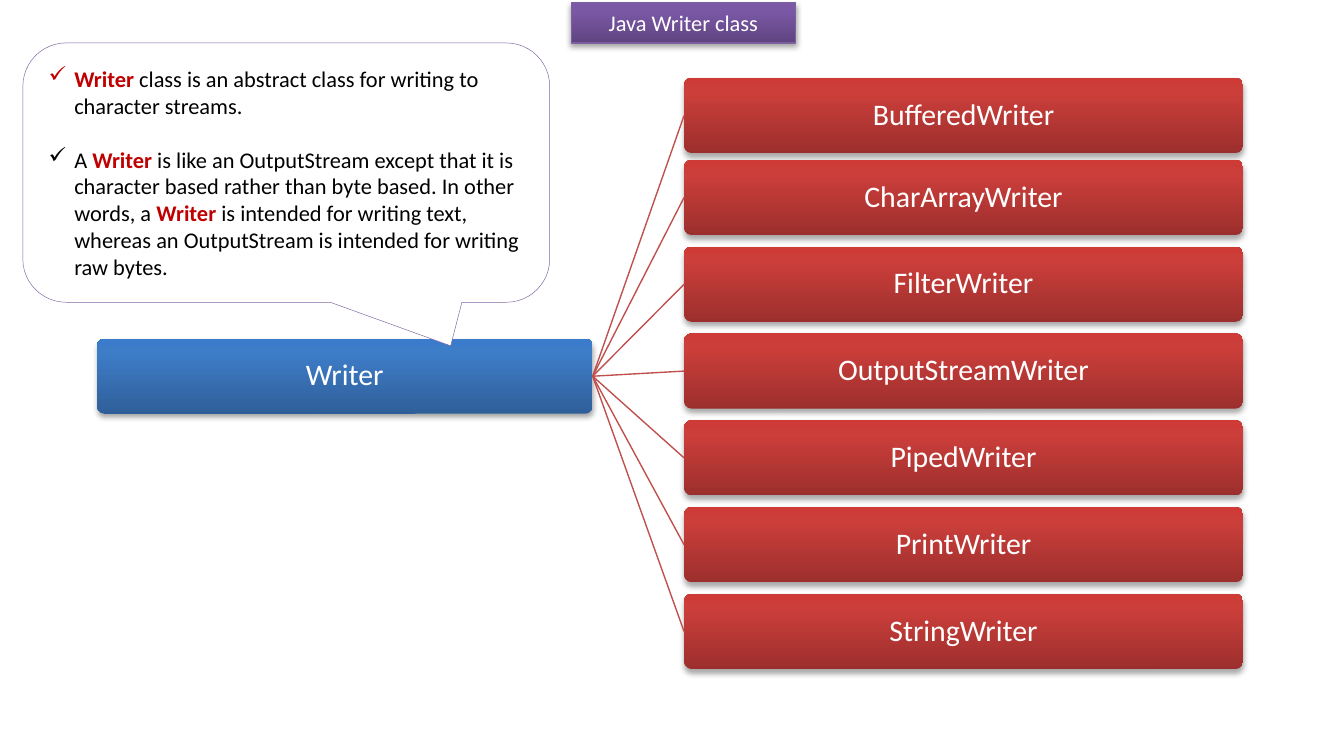
from copy import deepcopy

from lxml import etree
from pptx import Presentation
from pptx.dml.color import RGBColor
from pptx.enum.shapes import MSO_CONNECTOR, MSO_SHAPE
from pptx.enum.text import MSO_ANCHOR, PP_ALIGN
from pptx.oxml.ns import qn
from pptx.util import Inches, Pt

ROUNDED = MSO_SHAPE.ROUNDED_RECTANGLE
CALLOUT = MSO_SHAPE.ROUNDED_RECTANGULAR_CALLOUT
STRAIGHT = MSO_CONNECTOR.STRAIGHT
MIDDLE = MSO_ANCHOR.MIDDLE
CENTER, LEFT = PP_ALIGN.CENTER, PP_ALIGN.LEFT
LEFT_SITE, RIGHT_SITE = 1, 3

COLORS = {
    "white": "FFFFFF",
    "text": "000000",
    "keyword": "C00000",
    "link": "C0504D",
    "purple": "7D60A0",
    "callout_line": "8064A2",
}
# Bottom, near-top and top colour of each gradient
GRADIENTS = {
    "purple": ("5F4480", "7B58A6", "7C57A8"),
    "blue": ("2F5F99", "3D7CC7", "3A7CCB"),
    "red": ("9C2F2D", "CB3E3A", "CE3B37"),
}
GRADIENT_POSITIONS = (0, 0.8, 1)

SUBCLASSES = [
    "BufferedWriter", "CharArrayWriter", "FilterWriter", "OutputStreamWriter",
    "PipedWriter", "PrintWriter", "StringWriter",
]
# Words between asterisks are emphasised
NOTES = [
    "*Writer* class is an abstract class for writing to character streams.",
    "A *Writer* is like an OutputStream except that it is character based "
    "rather than byte based. In other words, a *Writer* is intended for "
    "writing text, whereas an OutputStream is intended for writing raw bytes.",
]


def rgb(name):
    return RGBColor.from_string(COLORS[name])


class ClassDiagram:
    font_name = "Calibri"
    box_height = 0.56

    def __init__(self, slide):
        self.slide = slide

    def format_run(self, run, size, color, bold=False):
        run.font.name = self.font_name
        run.font.size = Pt(size)
        run.font.bold = bold
        run.font.color.rgb = rgb(color)

    def shade(self, shape, gradient):
        """Give the shape a three-stop vertical gradient and a soft shadow."""
        shape.fill.gradient()
        shape.fill.gradient_angle = 90
        properties = shape._element.spPr
        stop_list = properties.find(qn("a:gradFill")).find(qn("a:gsLst"))
        stop_list.append(deepcopy(stop_list[0]))
        for stop, position, color in zip(
            shape.fill.gradient_stops, GRADIENT_POSITIONS, GRADIENTS[gradient]
        ):
            stop.position = position
            stop.color.rgb = RGBColor.from_string(color)

        shape.shadow.inherit = False
        effects = properties.find(qn("a:effectLst"))
        shadow = etree.SubElement(
            effects, qn("a:outerShdw"), blurRad=str(Pt(3.1)),
            dist=str(Pt(1.8)), dir="5400000", rotWithShape="0",
        )
        black = etree.SubElement(shadow, qn("a:srgbClr"), val="000000")
        etree.SubElement(black, qn("a:alpha"), val="35000")

    def title(self, text, left, top, width, height):
        title = self.slide.shapes.title
        title.left, title.top = Inches(left), Inches(top)
        title.width, title.height = Inches(width), Inches(height)
        title.line.color.rgb = rgb("purple")
        title.line.width = Pt(0.75)
        self.shade(title, "purple")
        frame = title.text_frame
        frame.text = text
        frame.vertical_anchor = MIDDLE
        frame.paragraphs[0].alignment = CENTER
        self.format_run(frame.paragraphs[0].runs[0], 12, "white")

    def class_box(self, name, left, top, width, gradient):
        box = self.slide.shapes.add_shape(
            ROUNDED, Inches(left), Inches(top), Inches(width), Inches(self.box_height)
        )
        box.adjustments[0] = 0.1
        box.line.fill.background()
        self.shade(box, gradient)
        frame = box.text_frame
        frame.text = name
        frame.vertical_anchor = MIDDLE
        paragraph = frame.paragraphs[0]
        paragraph.alignment = CENTER
        paragraph.line_spacing = 0.9
        self.format_run(paragraph.runs[0], 16, "white")
        return box

    def link(self, parent, child):
        line = self.slide.shapes.add_connector(STRAIGHT, 0, 0, 0, 0)
        line.begin_connect(parent, RIGHT_SITE)
        line.end_connect(child, LEFT_SITE)
        line.line.color.rgb = rgb("link")
        line.line.width = Pt(0.75)
        etree.SubElement(line._element.spPr, qn("a:effectLst"))

    def callout(self, notes, left, top, width, height):
        bubble = self.slide.shapes.add_shape(
            CALLOUT, Inches(left), Inches(top), Inches(width), Inches(height)
        )
        for index, value in enumerate((0.312, 0.668, 0.167)):
            bubble.adjustments[index] = value
        bubble.shadow.inherit = False
        bubble.fill.solid()
        bubble.fill.fore_color.rgb = rgb("white")
        bubble.line.color.rgb = rgb("callout_line")
        bubble.line.width = Pt(0.25)
        frame = bubble.text_frame
        frame.word_wrap = True
        frame.vertical_anchor = MIDDLE
        for index, note in enumerate(notes):
            paragraph = frame.add_paragraph() if index else frame.paragraphs[0]
            self.check_item(paragraph, note)
            if index:
                paragraph.space_before = Pt(14.4)

    def check_item(self, paragraph, note):
        indent = Inches(0.19)
        properties = paragraph._p.get_or_add_pPr()
        properties.set("marL", str(indent))
        properties.set("indent", str(-indent))
        etree.SubElement(properties, qn("a:buChar"), char="✓")
        paragraph.alignment = LEFT
        for index, part in enumerate(note.split("*")):
            if part:
                emphasised = index % 2 == 1
                run = paragraph.add_run()
                run.text = part
                self.format_run(run, 12, "keyword" if emphasised else "text", emphasised)


def main():
    presentation = Presentation()
    presentation.slide_width, presentation.slide_height = Inches(10), Inches(5.5)
    title_only = presentation.slide_layouts[5]
    diagram = ClassDiagram(presentation.slides.add_slide(title_only))

    diagram.title("Java Writer class", 4.25, 0.02, 1.67, 0.3)
    writer = diagram.class_box("Writer", 0.72, 2.52, 3.69, "blue")

    # The first box sits apart; the others are evenly spread
    first_top, second_top, last_top = 0.58, 1.19, 4.42
    step = (last_top - second_top) / (len(SUBCLASSES) - 2)
    for index, name in enumerate(SUBCLASSES):
        top = second_top + (index - 1) * step if index else first_top
        subclass = diagram.class_box(name, 5.09, top, 4.16, "red")
        diagram.link(writer, subclass)

    diagram.callout(NOTES, 0.17, 0.32, 3.92, 1.93)
    presentation.save("out.pptx")


if __name__ == "__main__":
    main()
